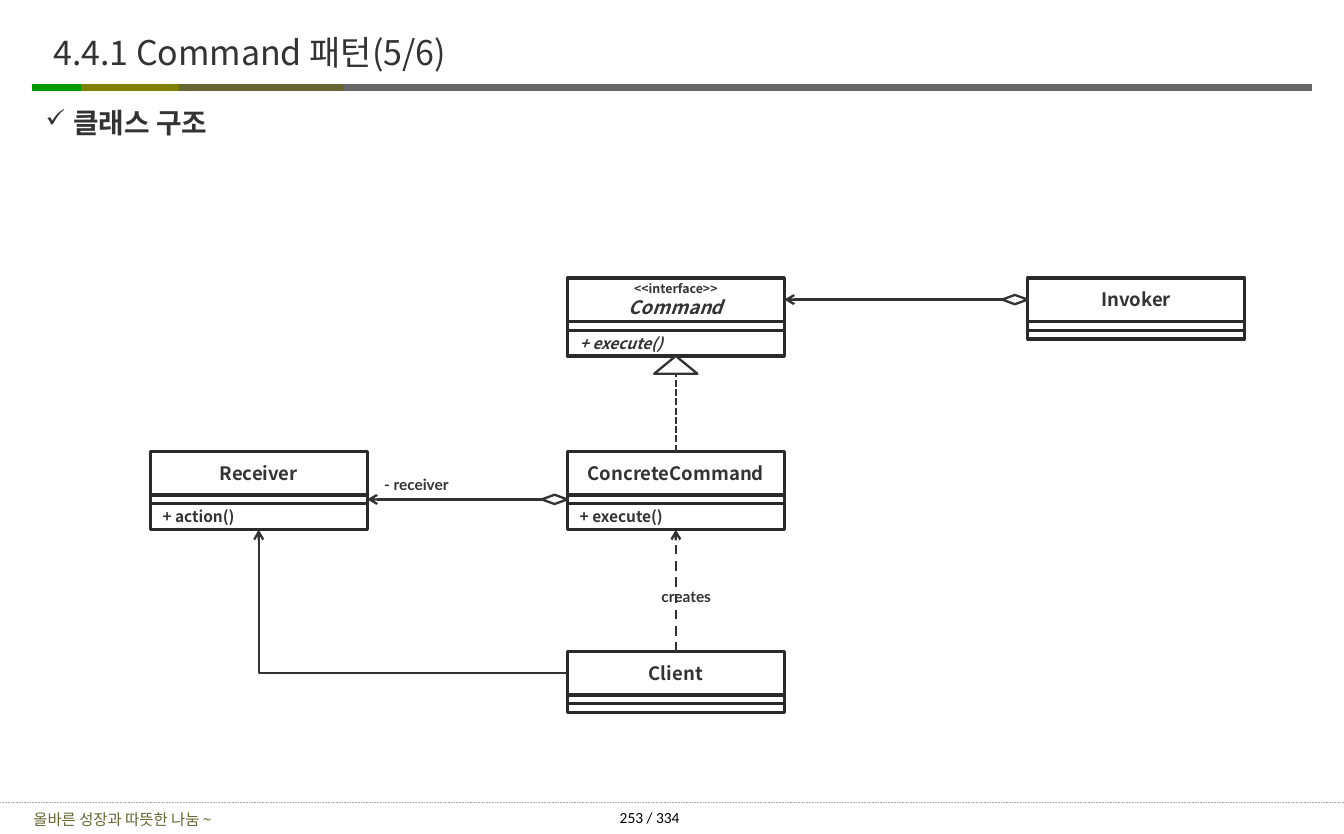
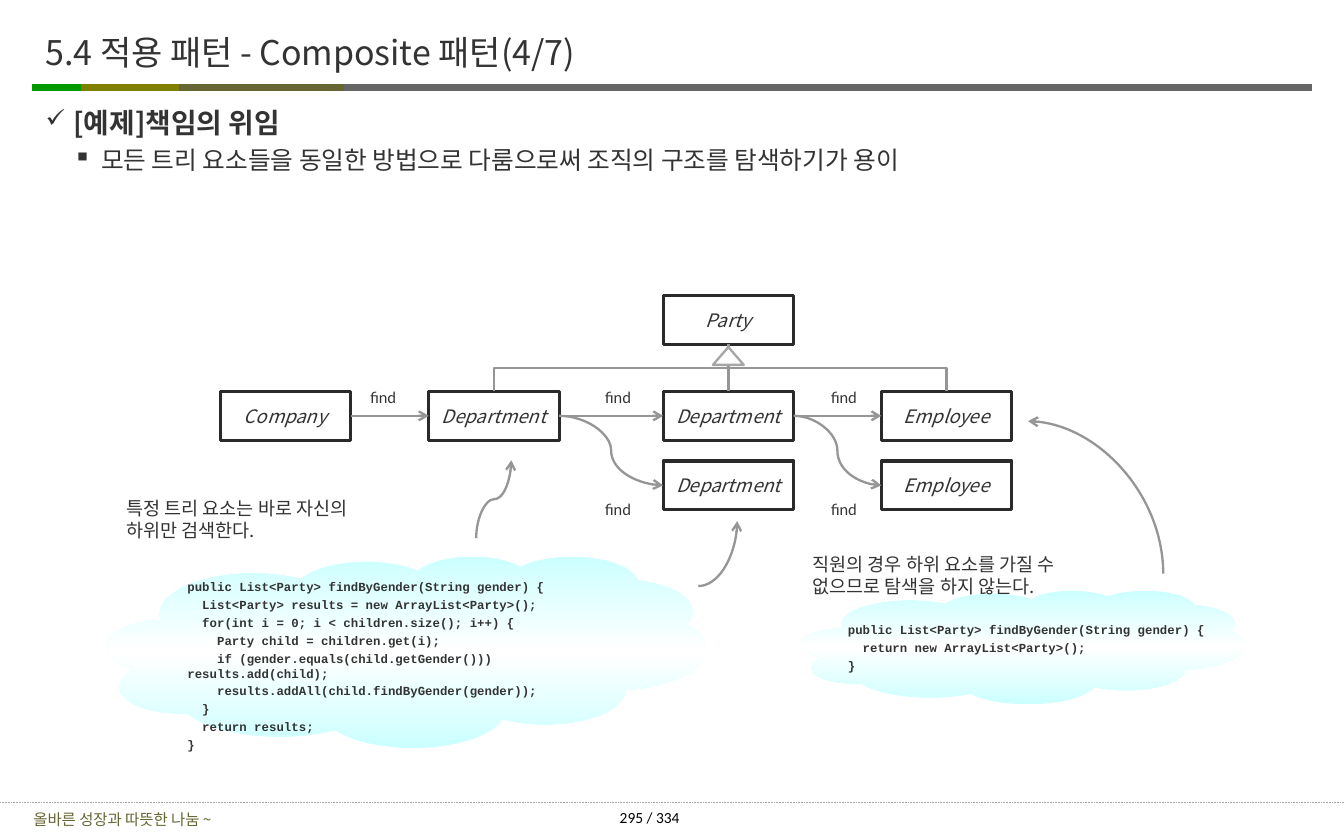
from copy import deepcopy

from lxml import etree
from pptx import Presentation
from pptx.dml.color import RGBColor
from pptx.enum import dml, shapes, text
from pptx.oxml.ns import qn
from pptx.util import Pt

COLORS = {
    "white": "FFFFFF", "ink": "333333", "border": "2A2A2A", "black": "000000",
    "gray": "969696", "light_gray": "A6A6A6", "band": "666666",
    "green": "009900", "olive": "808000", "moss": "666633", "aqua": "CCFFFF",
}
SANS, LABEL, CODE, NUMBER = "Noto Sans CJK KR", "Lato", "Courier New", "Calibri"
CENTER, LEFT = text.PP_ALIGN.CENTER, text.PP_ALIGN.LEFT
TOP, MIDDLE = text.MSO_ANCHOR.TOP, text.MSO_ANCHOR.MIDDLE
KIND, PRESET = shapes.MSO_CONNECTOR, shapes.MSO_SHAPE
DASH = dml.MSO_LINE
BOX_INSET = (8, 3.6)
# Side numbers of a rectangle
TOP_SIDE, LEFT_SIDE, BOTTOM_SIDE, RIGHT_SIDE = range(4)


def rgb(name):
    return RGBColor.from_string(COLORS[name])


# Text
def write(sp, paras, size=12, name=SANS, color="ink", align=LEFT, anchor=TOP,
          inset=(7.2, 3.6), wrap=True, space=0, bullets=(), **style):
    """Each paragraph is a string or a (string, format dict) pair."""
    tf = sp.text_frame
    frame = {"word_wrap": wrap, "vertical_anchor": anchor,
             "margin_left": Pt(inset[0]), "margin_right": Pt(inset[0]),
             "margin_top": Pt(inset[1]), "margin_bottom": Pt(inset[1])}
    for key, value in frame.items():
        setattr(tf, key, value)
    for i, para in enumerate(paras):
        line, extra = (para, {}) if isinstance(para, str) else para
        p = tf.add_paragraph() if i else tf.paragraphs[0]
        p.alignment = align
        if i:
            p.space_before = Pt(space)
        if bullets:
            add_bullet(p, *bullets[i])
        r = p.add_run()
        r.text = line
        fmt = {"size": Pt(size), "name": name, **style, **extra}
        for key, value in fmt.items():
            setattr(r.font, key, value)
        r.font.color.rgb = rgb(color)
        etree.SubElement(r.font._element, qn("a:ea")).set("typeface", name)


def add_bullet(p, char, left, percent):
    pr = p._p.get_or_add_pPr()
    pr.set("marL", str(Pt(left)))
    pr.set("indent", str(Pt(-18)))
    color = etree.SubElement(pr, qn("a:buClr"))
    etree.SubElement(color, qn("a:srgbClr")).set("val", COLORS["ink"])
    etree.SubElement(pr, qn("a:buSzPct")).set("val", str(percent * 1000))
    etree.SubElement(pr, qn("a:buChar")).set("char", char)


def add_text(s, x, y, w, h, paras, **fmt):
    sp = s.shapes.add_textbox(Pt(x), Pt(y), Pt(w), Pt(h))
    write(sp, paras, **fmt)


def add_label(s, x, y, w, line, **fmt):
    add_text(s, x, y, w, 19.5, [line], size=10, name=LABEL, align=CENTER,
             wrap=False, **fmt)


# Shapes
def add_shape(s, preset, x, y, w, h, line="ink", width=1.5):
    sp = s.shapes.add_shape(preset, Pt(x), Pt(y), Pt(w), Pt(h))
    sp.shadow.inherit = False
    sp.fill.solid()
    sp.fill.fore_color.rgb = rgb("white")
    sp.line.color.rgb = rgb(line)
    sp.line.width = Pt(width)
    return sp


def add_box(s, x, y, w, h, paras=(), **fmt):
    sp = add_shape(s, PRESET.RECTANGLE, x, y, w, h, line="border", width=2)
    if paras:
        write(sp, paras, anchor=MIDDLE, inset=BOX_INSET, wrap=False, **fmt)
    return sp


def add_class(s, x, y, title, operation=None):
    """UML class: name, attribute and operation compartments."""
    w, name_h, thin_h = 140.5, 28, 5.75
    name = add_box(s, x, y, w, name_h, title, align=CENTER, bold=True)
    attributes = add_box(s, x, y + name_h, w, thin_h)
    bottom = y + name_h + thin_h
    if operation:
        operations = add_box(s, x, bottom, w, 16.75, [operation], size=10, bold=True)
    else:
        operations = add_box(s, x, bottom, w, thin_h)
    return name, attributes, operations


def add_party(s, x, y, name):
    return add_box(s, x, y, 84.5, 31.5, [name], align=CENTER, italic=True)


def add_cloud(s, x, y, w, h):
    sp = add_shape(s, PRESET.CLOUD, x, y, w, h)
    sp.line.fill.background()
    sp.fill.gradient()
    sp.fill.gradient_angle = 90
    stops = sp._element.spPr.find(".//" + qn("a:gsLst"))
    stops.append(deepcopy(stops[-1]))
    for stop, position, color in zip(sp.fill.gradient_stops, (0, 0.5, 1),
                                     ("aqua", "white", "aqua")):
        stop.position = position
        stop.color.rgb = rgb(color)


def add_diamond(s, box):
    """Aggregation mark at the left side of a box."""
    x, y = side(box, LEFT_SIDE)
    add_shape(s, PRESET.FLOWCHART_DECISION, x - 16.5, y - 3, 16.5, 6)


def add_triangle(s, box, gap, w, h, line):
    """Generalization mark below a box."""
    x, y = side(box, BOTTOM_SIDE)
    add_shape(s, PRESET.ISOSCELES_TRIANGLE, x - w / 2, y + gap, w, h, line=line)


# Connectors
def side(sp, i):
    x, y, w, h = (v.pt for v in (sp.left, sp.top, sp.width, sp.height))
    return ((x + w / 2, y), (x, y + h / 2), (x + w / 2, y + h), (x + w, y + h / 2))[i]


def add_line(s, start, end, kind=KIND.STRAIGHT, color="ink", width=1.5,
             dash=None, arrow=False):
    sp = s.shapes.add_connector(kind, *(Pt(v) for v in (*start, *end)))
    sp.line.color.rgb = rgb(color)
    sp.line.width = Pt(width)
    if dash:
        sp.line.dash_style = dash
    if arrow:
        ln = sp._element.spPr.find(qn("a:ln"))
        etree.SubElement(ln, qn("a:tailEnd")).set("type", "arrow")
    etree.SubElement(sp._element.spPr, qn("a:effectLst"))
    return sp


def join(s, a, i, b, j, **fmt):
    sp = add_line(s, side(a, i), side(b, j), **fmt)
    sp.begin_connect(a, i)
    sp.end_connect(b, j)


def add_route(s, start, end, kind, vertical=False, corner=False, **fmt):
    """Bent or curved line; vertical leaves the start up or down, corner turns once."""
    (x1, y1), (x2, y2) = start, end
    dx, dy = x2 - x1, y2 - y1
    if vertical:
        # Box before a quarter turn around its centre
        cx, cy = (x1 + x2) / 2, (y1 + y2) / 2
        half_w, half_h = abs(dy) / 2, abs(dx) / 2
        if dx * dy > 0:
            half_h = -half_h
        start, end = (cx - half_w, cy - half_h), (cx + half_w, cy + half_h)
    sp = add_line(s, start, end, kind=kind, **fmt)
    pr = sp._element.spPr
    if vertical:
        pr.find(qn("a:xfrm")).set("rot", str((90 if dy > 0 else 270) * 60000))
    if corner:
        geom = pr.find(qn("a:prstGeom"))
        geom.set("prst", geom.get("prst").replace("3", "2"))


# Shared frame: title, colour band, body and footer
def add_frame(prs, title, title_inset, body, page):
    s = prs.slides.add_slide(prs.slide_layouts[6])
    for x1, x2, color in ((214.5, 849, "band"), (21, 78.5, "green"),
                          (52.5, 119.5, "olive"), (116, 223, "moss")):
        add_line(s, (x1, 56.75), (x2, 56.75), color=color, width=5)
    add_line(s, (0, 519.75), (870, 519.75), color="light_gray", width=0.5,
             dash=DASH.ROUND_DOT)
    add_text(s, 0, 521.5, 158.5, 18.5, ["올바른 성장과 따뜻한 나눔 ~"], size=10,
             color="moss", align=CENTER, anchor=MIDDLE)
    add_text(s, 376, 520, 89, 19.5, [f"{page} / 334"], size=10, name=NUMBER,
             color="black", align=CENTER, inset=(3, 3.6))
    add_text(s, 26.5, 11, 720, 45, [title], size=22, anchor=MIDDLE,
             inset=(title_inset, 3))
    head, *points = body
    add_text(s, 26.5, 65.5, 828, 88.5,
             [(head, {"size": Pt(18), "bold": True}), *points],
             size=16, inset=(3, 3), space=4,
             bullets=[("✓", 18, 90)] + [("▪", 36, 100)] * len(points))
    return s


def command_slide(prs):
    s = add_frame(prs, "4.4.1 Command 패턴(5/6)", 8, ["클래스 구조"], 253)

    # Classes
    left, middle, right = 97.25, 367.25, 665.25
    upper, centre, lower = 180, 292.5, 422
    client = add_class(s, middle, lower, ["Client"])
    command = add_class(s, middle, upper,
                        [("<<interface>>", {"size": Pt(8)}), ("Command", {"italic": True})],
                        ("+ execute()", {"italic": True}))
    receiver = add_class(s, left, centre, ["Receiver"], "+ action()")
    concrete = add_class(s, middle, centre, ["ConcreteCommand"], "+ execute()")
    invoker = add_class(s, right, upper, ["Invoker"])

    # Relations
    join(s, concrete[0], TOP_SIDE, command[2], BOTTOM_SIDE, dash=DASH.SQUARE_DOT)
    add_triangle(s, command[2], 0, 28, 11.5, "ink")
    for owner, target in ((concrete[1], receiver[1]), (invoker[0], command[0])):
        join(s, owner, LEFT_SIDE, target, RIGHT_SIDE, arrow=True)
        add_diamond(s, owner)
    add_route(s, side(client[0], LEFT_SIDE), side(receiver[2], BOTTOM_SIDE),
              KIND.ELBOW, corner=True, arrow=True)
    join(s, client[0], TOP_SIDE, concrete[2], BOTTOM_SIDE, dash=DASH.DASH, arrow=True)
    add_label(s, 238.25, 304, 62.5, "- receiver", bold=True)
    add_label(s, 418.25, 376.5, 52, "creates", bold=True)


def composite_slide(prs):
    s = add_frame(prs, "5.4 적용 패턴 - Composite 패턴(4/7)", 3,
                  ["[예제]책임의 위임",
                   "모든 트리 요소들을 동일한 방법으로 다룸으로써 조직의 구조를 탐색하기가 용이"], 295)
    gray = {"color": "gray"}
    arrow = {"color": "gray", "arrow": True}

    # Tree elements
    columns, row, next_row = (142.5, 277.5, 429.25, 570.5), 253.5, 298.5
    company, parent, child, employee = (
        add_party(s, x, row, name) for x, name in
        zip(columns, ("Company", "Department", "Department", "Employee")))
    child_2 = add_party(s, columns[2], next_row, "Department")
    employee_2 = add_party(s, columns[3], next_row, "Employee")
    party = add_party(s, columns[2], 191.5, "Party")

    # Searches down the tree
    for a, b in ((company, parent), (parent, child), (child, employee)):
        join(s, a, RIGHT_SIDE, b, LEFT_SIDE, **arrow)
    for a, b in ((parent, child_2), (child, employee_2)):
        add_route(s, side(a, RIGHT_SIDE), side(b, LEFT_SIDE), KIND.CURVE, **arrow)
    for x, y in ((232.5, 247.5), (384.5, 247.5), (530.75, 247.5),
                 (384.5, 320.5), (530.75, 320.5)):
        add_label(s, x, y, 31, "find")

    # Inheritance
    join(s, child, TOP_SIDE, party, BOTTOM_SIDE, **gray)
    for kind_of_party in (employee, parent):
        add_route(s, side(party, BOTTOM_SIDE), side(kind_of_party, TOP_SIDE),
                  KIND.ELBOW, vertical=True, **gray)
    add_triangle(s, party, 1.75, 20, 11.5, "light_gray")

    # Code clouds and remarks
    code = {"size": 8, "name": CODE, "bold": True, "space": 2}
    add_cloud(s, 69, 360, 388, 124)
    add_text(s, 114.25, 371.5, 304, 110, [
        "public List<Party> findByGender(String gender) {",
        "  List<Party> results = new ArrayList<Party>();",
        "  for(int i = 0; i < children.size(); i++) {",
        "    Party child = children.get(i);",
        "    if (gender.equals(child.getGender())) results.add(child);",
        "    results.addAll(child.findByGender(gender));",
        "  }",
        "  return results;",
        "}"], **code)
    add_cloud(s, 519, 382.25, 286.5, 73.5)
    add_text(s, 541.75, 399.5, 248, 40, [
        "public List<Party> findByGender(String gender) {",
        "  return new ArrayList<Party>();",
        "}"], **code)
    add_text(s, 519, 354.25, 191.5, 36, ["직원의 경우 하위 요소를 가질 수 없으므로 탐색을 하지 않는다."])
    add_text(s, 74.75, 318.25, 191.5, 36, ["특정 트리 요소는 바로 자신의 하위만 검색한다."])

    # Pointers from the code to the tree
    add_route(s, (308.25, 348.5), (331, 298), KIND.CURVE, vertical=True, **arrow)
    add_route(s, (753, 371.5), (665.5, 272.75), KIND.CURVE, vertical=True,
              corner=True, **arrow)
    add_route(s, (452, 379.5), (477.25, 337.5), KIND.CURVE, corner=True, **arrow)


def main():
    prs = Presentation()
    prs.slide_width, prs.slide_height = Pt(870), Pt(540)
    command_slide(prs)
    composite_slide(prs)
    prs.save("out.pptx")


if __name__ == "__main__":
    main()
